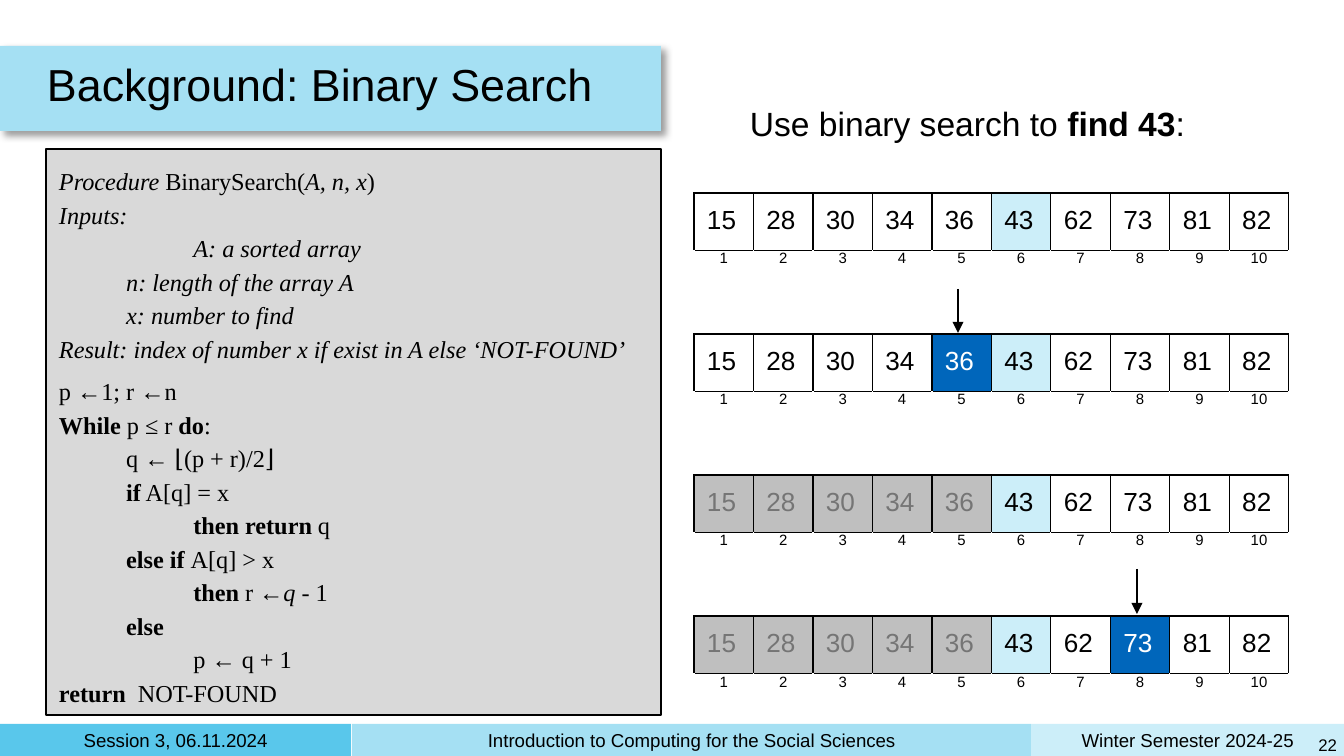
from lxml.etree import SubElement
from pptx import Presentation
from pptx.dml.color import RGBColor
from pptx.enum.shapes import MSO_CONNECTOR, MSO_SHAPE
from pptx.enum.text import MSO_ANCHOR, MSO_AUTO_SIZE, PP_ALIGN
from pptx.oxml import parse_xml
from pptx.oxml.ns import nsdecls, qn
from pptx.util import Emu, Pt

BLACK = RGBColor(0x00, 0x00, 0x00)
WHITE = RGBColor(0xFF, 0xFF, 0xFF)
SKY = RGBColor(0xA5, 0xE0, 0xF3)
BRIGHT_SKY = RGBColor(0x59, 0xC7, 0xEB)
PALE_SKY = RGBColor(0xCC, 0xEE, 0xF9)
BLUE = RGBColor(0x00, 0x66, 0xBB)
PANEL_GRAY = RGBColor(0xD9, 0xD9, 0xD9)
CELL_GRAY = RGBColor(0xBF, 0xBF, 0xBF)
TEXT_GRAY = RGBColor(0x75, 0x75, 0x75)


def px(*lengths):
    """Turn pixels into EMU, with 1344 px across 10 inches."""
    return [Emu(round(length * 9144000 / 1344)) for length in lengths]


def write(para, spans, size, font="Arial", color=BLACK):
    """Fill a paragraph with (text, style) spans; style is "", "b" or "i"."""
    for text, style in spans:
        span = para.add_run()
        span.text = text
        span.font.name, span.font.size = font, Pt(size)
        span.font.bold, span.font.italic = style == "b", style == "i"
        span.font.color.rgb = color


deck = Presentation()
deck.slide_width, deck.slide_height = px(1344, 756)
page = deck.slides.add_slide(deck.slide_layouts[5])
shapes = page.shapes
small_inset, inset = px(7, 13)

# Footer bars
for left, width, color, text in [
    (1031, 313, PALE_SKY, "Winter Semester 2024-25"),
    (0, 351, BRIGHT_SKY, "Session 3, 06.11.2024"),
    (352, 679, SKY, "Introduction to Computing for the Social Sciences"),
]:
    bar = shapes.add_shape(MSO_SHAPE.RECTANGLE, *px(left, 724, width, 32))
    bar.shadow.inherit = False
    bar.fill.solid()
    bar.fill.fore_color.rgb = color
    bar.line.fill.background()
    bar.text_frame.margin_top = bar.text_frame.margin_bottom = 0
    bar.text_frame.vertical_anchor = MSO_ANCHOR.MIDDLE
    bar.text_frame.paragraphs[0].alignment = PP_ALIGN.CENTER
    write(bar.text_frame.paragraphs[0], [(text, "")], 10)

# Title banner with its shadow
banner = shapes.add_shape(MSO_SHAPE.RECTANGLE, *px(0, 46, 661, 85))
banner.fill.solid()
banner.fill.fore_color.rgb = SKY
banner.line.fill.background()
banner.element.spPr.append(parse_xml(
    f'<a:effectLst {nsdecls("a")}>'
    '<a:outerShdw blurRad="50800" dist="38100" dir="2700000" algn="tl" rotWithShape="0">'
    '<a:srgbClr val="000000"><a:alpha val="40000"/></a:srgbClr>'
    '</a:outerShdw></a:effectLst>'))

# Title, in front of the banner
title = shapes.title
banner.element.addnext(title.element)
title.left, title.top, title.width, title.height = px(40, 46, 1169, 85)
frame = title.text_frame
frame.auto_size = MSO_AUTO_SIZE.NONE
frame.vertical_anchor = MSO_ANCHOR.MIDDLE
frame.margin_left = frame.margin_right = small_inset
frame.margin_top = frame.margin_bottom = small_inset
frame.paragraphs[0].alignment = PP_ALIGN.LEFT
frame.paragraphs[0].line_spacing = 0.8
write(frame.paragraphs[0], [("Background: Binary Search", "")], 24)

# Page number
number = shapes.add_textbox(*px(1304, 728, 40, 34)).text_frame
number.word_wrap = True
number.vertical_anchor = MSO_ANCHOR.MIDDLE
number.margin_left = 0
number.margin_right = number.margin_top = number.margin_bottom = small_inset
number.paragraphs[0].alignment = PP_ALIGN.RIGHT
write(number.paragraphs[0], [("22", "")], 9)

# Pseudocode: (first line indented, spans)
PROCEDURE = [
    (False, [("Procedure ", "i"), ("BinarySearch(", ""), ("A, n, x", "i"), (")", "")]),
    (False, [("Inputs:", "i")]),
    (True, [("\tA: a sorted array", "i")]),
    (True, [("n: length of the array A", "i")]),
    (True, [("x: number to find", "i")]),
    (False, [("Result: index of number x if exist in A else ‘NOT-FOUND’", "i")]),
    (False, [("p ←1; r ←n", "")]),
    (False, [("While ", "b"), ("p ≤ r ", ""), ("do", "b"), (":", "")]),
    (True, [("q ← ⌊(p + r)/2⌋", "")]),
    (True, [("if", "b"), (" A[q] = x", "")]),
    (True, [("\tthen return", "b"), (" q", "")]),
    (True, [("else if ", "b"), ("A[q] > x", "")]),
    (True, [("\tthen ", "b"), ("r ←", ""), ("q ", "i"), ("- 1", "")]),
    (True, [("else", "b")]),
    (True, [("\tp ← q + 1", "")]),
    (False, [("return  ", "b"), ("NOT-FOUND", "")]),
]
FIRST_STEP = 6
panel = shapes.add_shape(MSO_SHAPE.RECTANGLE, *px(46, 149, 615, 566))
panel.shadow.inherit = False
panel.fill.solid()
panel.fill.fore_color.rgb = PANEL_GRAY
panel.line.color.rgb = BLACK
panel.line.width = Pt(0.75)
frame = panel.text_frame
frame.word_wrap = True
frame.vertical_anchor = MSO_ANCHOR.TOP
frame.margin_left = frame.margin_right = inset
frame.margin_top = frame.margin_bottom = inset
for index, (indented, spans) in enumerate(PROCEDURE):
    para = frame.add_paragraph() if index else frame.paragraphs[0]
    para.alignment = PP_ALIGN.LEFT
    para.line_spacing = 1.15
    if index == FIRST_STEP:
        para.space_before = Pt(5)
    if indented:
        para._p.get_or_add_pPr().set("indent", "457200")
    write(para, spans, 13, "Times New Roman")

# Array states: (number of discarded values, probed position)
VALUES = [15, 28, 30, 34, 36, 43, 62, 73, 81, 82]
TARGET = 43
STATES = [(0, None), (0, 4), (5, None), (5, 7)]
for state, (discarded, probe) in enumerate(STATES):
    grid = shapes.add_table(2, len(VALUES), *px(694, 193 + 141 * state, 595, 96)).table
    grid.first_row = grid.horz_banding = False
    grid.rows[0].height, grid.rows[1].height = px(54, 42)
    for column, value in enumerate(VALUES):
        fill, ink = None, BLACK
        if column == probe:
            fill, ink = BLUE, WHITE
        elif value == TARGET:
            fill = PALE_SKY
        elif column < discarded:
            fill, ink = CELL_GRAY, TEXT_GRAY
        for row, text in enumerate([value, column + 1]):
            cell = grid.cell(row, column)
            cell.margin_left = cell.margin_right = cell.margin_bottom = inset
            cell.margin_top = 0 if row else inset
            for side in "LRTB":
                edge = SubElement(cell._tc.get_or_add_tcPr(), qn(f"a:ln{side}"), w="9525")
                edge_color = WHITE if row and side != "T" else BLACK
                SubElement(SubElement(edge, qn("a:solidFill")), qn("a:srgbClr"), val=str(edge_color))
            if fill and row == 0:
                cell.fill.solid()
                cell.fill.fore_color.rgb = fill
            else:
                cell.fill.background()
            para = cell.text_frame.paragraphs[0]
            para.alignment = PP_ALIGN.CENTER if row else PP_ALIGN.LEFT
            write(para, [(str(text), "")], 8 if row else 14, color=BLACK if row else ink)

# Arrows to the probed cells
for x, top, bottom in [(958, 289, 333), (1137, 569, 614)]:
    arrow = shapes.add_connector(MSO_CONNECTOR.STRAIGHT, *px(x, top, x, bottom))
    arrow.line.color.rgb = BLACK
    arrow.line.width = Pt(1.5)
    SubElement(arrow.line._get_or_add_ln(), qn("a:tailEnd"), type="triangle")
    SubElement(arrow._element.spPr, qn("a:effectLst"))

# Task
task = shapes.add_textbox(*px(694, 90, 547, 60)).text_frame
task.word_wrap = True
task.margin_left = task.margin_right = task.margin_top = task.margin_bottom = inset
task.paragraphs[0].alignment = PP_ALIGN.CENTER
write(task.paragraphs[0], [("Use binary search to ", ""), ("find 43", "b"), (":", "")], 18)

deck.save("out.pptx")
